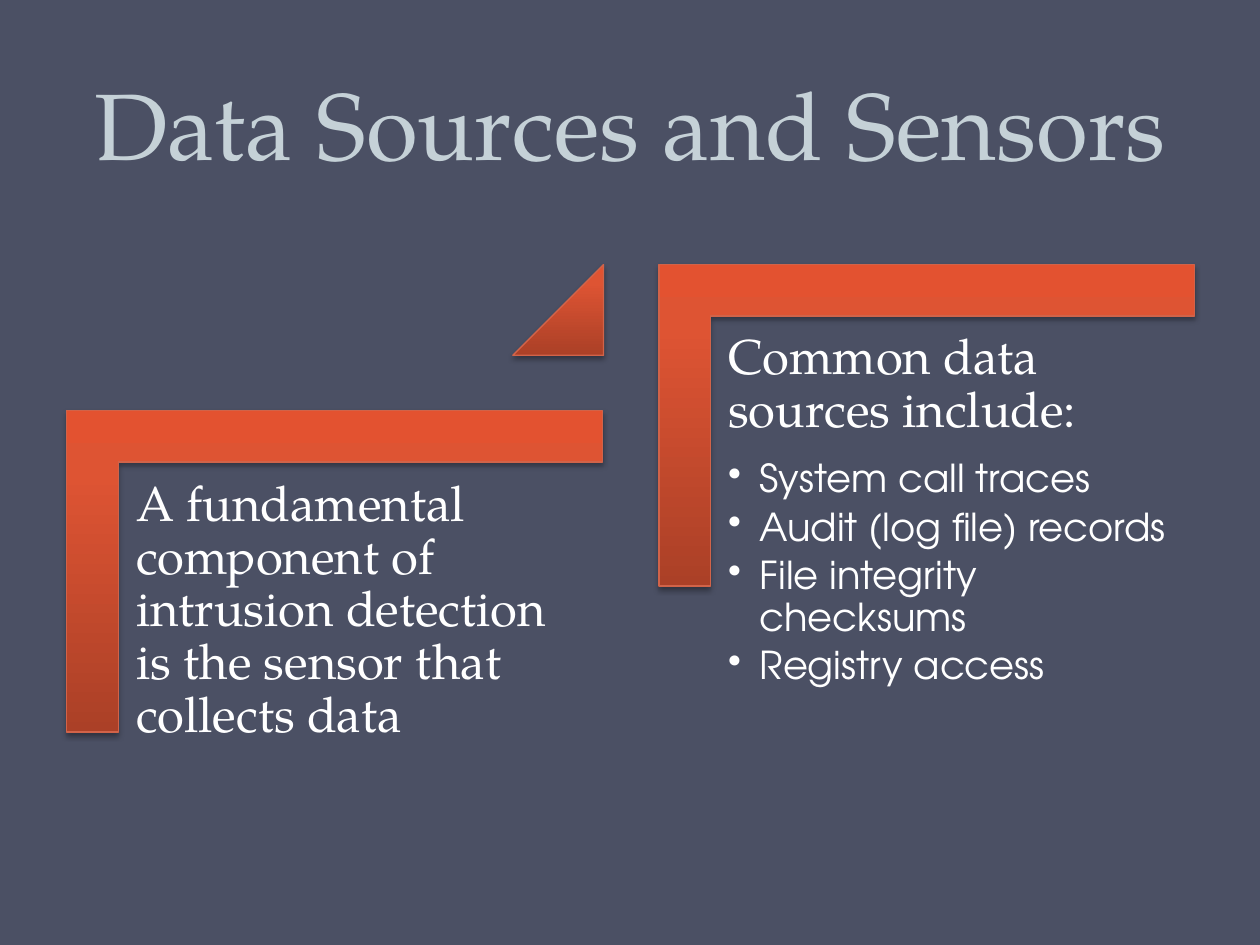
"""Build the slide about data sources and sensors as two rising steps."""
import pptx
import pptx.dml.color
import pptx.enum.shapes
import pptx.enum.text
import pptx.oxml
import pptx.oxml.ns
import pptx.util

BACKGROUND = pptx.dml.color.RGBColor(0x4B, 0x50, 0x64)
TITLE = pptx.dml.color.RGBColor(0xC5, 0xD1, 0xD7)
WHITE = pptx.dml.color.RGBColor(0xFF, 0xFF, 0xFF)
OUTLINE = pptx.dml.color.RGBColor(0xD1, 0x63, 0x49)
STOPS = {
    0: pptx.dml.color.RGBColor(0xAB, 0x40, 0x27),
    80: pptx.dml.color.RGBColor(0xDE, 0x54, 0x33),
    100: pptx.dml.color.RGBColor(0xE3, 0x52, 0x30),
}
SERIF = "TeX Gyre Pagella"
SANS = "TeX Gyre Adventor"
SHAPES = pptx.enum.shapes.MSO_SHAPE
NAMESPACE = pptx.oxml.ns.nsdecls("a")

GRADIENT = f'<a:gradFill {NAMESPACE} rotWithShape="0"><a:gsLst>' + "".join(
    f'<a:gs pos="{position * 1000}"><a:srgbClr val="{color}"/></a:gs>'
    for position, color in STOPS.items()
) + '</a:gsLst><a:lin ang="16200000" scaled="0"/></a:gradFill>'
SHADOW = (
    f'<a:outerShdw {NAMESPACE} blurRad="40000" dist="23000" dir="5400000" rotWithShape="0">'
    '<a:srgbClr val="000000"><a:alpha val="35000"/></a:srgbClr></a:outerShdw>'
)
FORMATS = {
    "title": {
        "paragraph": {"alignment": pptx.enum.text.PP_ALIGN.CENTER, "line_spacing": pptx.util.Pt(58)},
        "font": {"name": SERIF, "size": pptx.util.Pt(54)},
        "color": TITLE,
    },
    "statement": {
        "paragraph": {"line_spacing": 0.9, "space_after": pptx.util.Pt(12)},
        "font": {"name": SERIF, "size": pptx.util.Pt(28)},
        "color": WHITE,
    },
    "bullet": {
        "paragraph": {"level": 1, "line_spacing": 0.9, "space_after": pptx.util.Pt(4)},
        "font": {"name": SANS, "size": pptx.util.Pt(22)},
        "color": WHITE,
    },
}

presentation = pptx.Presentation()
presentation.slide_width = pptx.util.Inches(10)
presentation.slide_height = pptx.util.Inches(7.5)
slide = presentation.slides.add_slide(presentation.slide_layouts[6])
slide.background.fill.solid()
slide.background.fill.fore_color.rgb = BACKGROUND
unit = presentation.slide_width / 10


def add_text(box, inset, anchor, lines):
    """Add a text box whose lines are pairs of format name and wording."""
    frame = slide.shapes.add_textbox(*(round(length * unit) for length in box)).text_frame
    settings = {"word_wrap": True, "vertical_anchor": anchor}
    settings.update({f"margin_{side}": round(inset[side] * unit) for side in inset})
    for name, value in settings.items():
        setattr(frame, name, value)
    for index, (kind, wording) in enumerate(lines):
        paragraph = frame.add_paragraph() if index else frame.paragraphs[0]
        paragraph.text = wording
        if kind == "bullet":
            properties = paragraph._p.get_or_add_pPr()
            properties.set("marL", str(round(0.25 * unit)))
            properties.set("indent", str(round(-0.25 * unit)))
            properties.append(pptx.oxml.parse_xml(f'<a:buChar {NAMESPACE} char="•"/>'))
        for name, value in FORMATS[kind]["paragraph"].items():
            setattr(paragraph, name, value)
        for name, value in FORMATS[kind]["font"].items():
            setattr(paragraph.runs[0].font, name, value)
        paragraph.runs[0].font.color.rgb = FORMATS[kind]["color"]


def add_ornament(kind, box, rotation, adjustments):
    """Add a shape with the shared gradient, outline and shadow."""
    shape = slide.shapes.add_shape(kind, *(round(length * unit) for length in box))
    shape.rotation = rotation
    for index, value in enumerate(adjustments):
        shape.adjustments[index] = value
    properties = shape._element.spPr
    properties.insert(2, pptx.oxml.parse_xml(GRADIENT))
    shape.line.color.rgb = OUTLINE
    shape.line.width = pptx.util.Pt(0.75)
    shape.shadow.inherit = False
    effects = properties.find(pptx.oxml.ns.qn("a:effectLst"))
    effects.append(pptx.oxml.parse_xml(SHADOW))


ANCHOR = pptx.enum.text.MSO_ANCHOR
add_text((0.5, 0, 9, 1.47), {"top": 0.05, "bottom": 0.05}, ANCHOR.BOTTOM,
         [("title", "Data Sources and Sensors")])

steps = [
    [("statement", "A fundamental component of intrusion detection is the sensor that collects data")],
    [("statement", "Common data sources include:")] + [
        ("bullet", source) for source in (
            "System call traces",
            "Audit (log file) records",
            "File integrity checksums",
            "Registry access",
        )
    ],
]
inset = dict.fromkeys(("left", "right", "top", "bottom"), 0.12)
corner = SHAPES.from_xml("corner")
for column, lines in enumerate(steps):
    across, rise = 4.7 * column, 1.16 * column
    add_ornament(corner, (1.38 + across, 2.41 - rise, 2.55, 4.25), 90, (0.16, 0.16))
    add_text((0.96 + across, 3.68 - rise, 3.84, 3.36), inset, ANCHOR.TOP, lines)
add_ornament(SHAPES.ISOSCELES_TRIANGLE, (4.07, 2.1, 0.72, 0.72), 0, (1,))

presentation.save("out.pptx")
